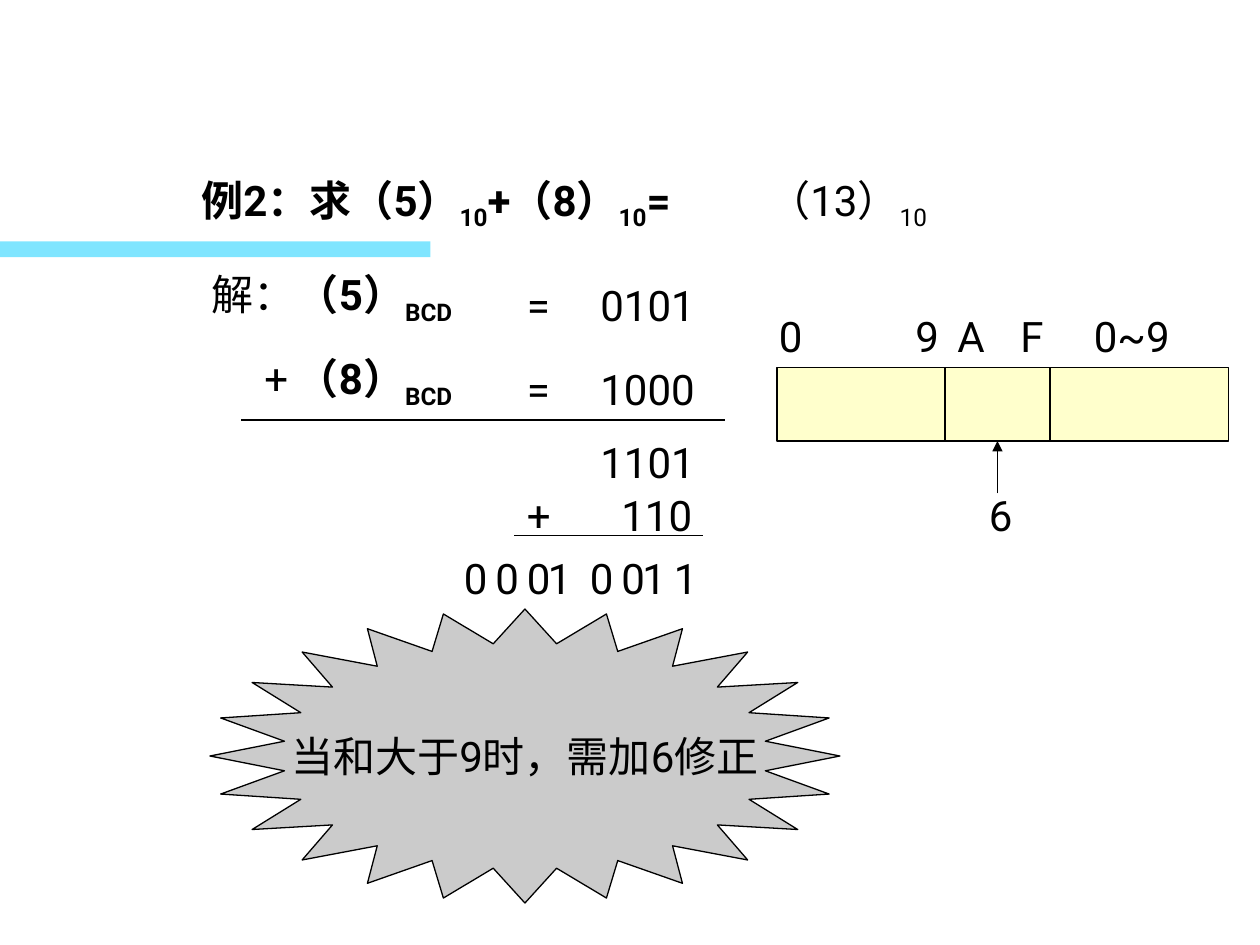
from lxml import etree
from pptx import Presentation
from pptx.dml.color import RGBColor
from pptx.enum.lang import MSO_LANGUAGE_ID
from pptx.enum.shapes import MSO_CONNECTOR, MSO_SHAPE
from pptx.enum.text import MSO_ANCHOR, MSO_AUTO_SIZE, PP_ALIGN
from pptx.oxml.ns import qn
from pptx.util import Inches, Pt

RECT, STAR = MSO_SHAPE.RECTANGLE, MSO_SHAPE.STAR_24_POINT
STRAIGHT = MSO_CONNECTOR.STRAIGHT
GROW = MSO_AUTO_SIZE.SHAPE_TO_FIT_TEXT
CENTER, MIDDLE = PP_ALIGN.CENTER, MSO_ANCHOR.MIDDLE
CHINESE = MSO_LANGUAGE_ID.SIMPLIFIED_CHINESE

COLS, ROWS = 120, 90  # square cells, twelve to the inch
BLACK, CYAN, CREAM, GREY = "000000", "00CCFF", "FFFFCC", "CBCBCB"


def rgb(value):
    return RGBColor.from_string(value)


class Board:
    """Draws in grid columns and rows on the current slide."""

    font = {"name": "Roboto", "size": Pt(24), "language_id": CHINESE}
    line_width = Pt(0.75)

    def __init__(self, prs):
        self.cell_w = prs.slide_width / COLS
        self.cell_h = prs.slide_height / ROWS
        self.s = prs.slides.add_slide(prs.slide_layouts[6])

    def place(self, x, y, w, h):
        return [round(v * c) for v, c in zip((x, y, w, h), (self.cell_w, self.cell_h) * 2)]

    def add_runs(self, tf, runs, bold=False):
        """Fill the first paragraph; every second run is a subscript."""
        p = tf.paragraphs[0]
        for i, words in enumerate(runs):
            r = p.add_run()
            r.text = words
            for key, value in {**self.font, "bold": bold}.items():
                setattr(r.font, key, value)
            r.font.color.rgb = rgb(BLACK)
            if i % 2:
                r._r.get_or_add_rPr().set("baseline", "-25000")
        return p

    def text(self, x, y, w, *runs, h=6, bold=False, wrap=True):
        tf = self.s.shapes.add_textbox(*self.place(x, y, w, h)).text_frame
        tf.word_wrap, tf.auto_size = wrap, GROW
        self.add_runs(tf, runs, bold)

    def shape(self, kind, x, y, w, h, fill, line=BLACK, alpha=None):
        sp = self.s.shapes.add_shape(kind, *self.place(x, y, w, h))
        sp.shadow.inherit = False
        sp.fill.solid()
        sp.fill.fore_color.rgb = rgb(fill)
        if alpha:
            color = next(sp._element.spPr.iter(qn("a:srgbClr")))
            etree.SubElement(color, qn("a:alpha"), val=str(alpha * 1000))
        if line:
            sp.line.color.rgb, sp.line.width = rgb(line), self.line_width
        else:
            sp.line.fill.background()
        return sp

    def line(self, x1, y1, x2, y2, arrow=False):
        cn = self.s.shapes.add_connector(STRAIGHT, *self.place(x1, y1, x2, y2))
        cn.line.color.rgb, cn.line.width = rgb(BLACK), self.line_width
        sp_pr = cn._element.spPr
        if arrow:
            etree.SubElement(sp_pr.find(qn("a:ln")), qn("a:tailEnd"), type="triangle")
        etree.SubElement(sp_pr, qn("a:effectLst"))


def main():
    prs = Presentation()
    prs.slide_width, prs.slide_height = Inches(10), Inches(7.5)
    b = Board(prs)

    # Accent bar and the exercise
    b.shape(RECT, 0, 23, 41, 1.5, CYAN, line=None, alpha=50)
    b.text(18, 16, 75, "例2：求（5）", "10", "+（8）", "10", "=", h=6.7, bold=True)
    b.text(72, 16, 21, "（13）", "10", h=6.7)

    # Both operands in BCD
    b.text(19, 25, 12.6, "解：")
    b.text(24, 33, 5, "+")
    for row, digit, code in ((25, "5", "0101"), (33, "8", "1000")):
        b.text(27.1, row, 20.3, f"（{digit}）", "BCD", h=6.7, bold=True, wrap=False)
        b.text(49, row + 1, 4, "=")
        b.text(56, row + 1, 15, code)
    b.line(23, 40, 69, 40)

    # Binary sum, correction and result
    b.text(56, 41, 13, "1101")
    b.text(49, 46, 6, "+")
    b.text(58, 46, 15, "110")
    b.line(49, 51, 67, 51)
    for x, bit in zip((43, 46, 49, 51, 55, 58, 60, 63), "00010011"):
        b.text(x, 52, 5, bit)

    # Range strip with the six skipped codes
    b.shape(RECT, 74, 35, 43, 7, CREAM)
    for x in (90, 100):
        b.line(x, 35, x, 42)
    for x, w, label in ((73, 4, "0"), (86, 4, "9"), (90, 5, "A"), (96, 5, "F"), (103, 11, "0~9")):
        b.text(x, 29, w, label)
    b.text(93, 46, 7, "6")
    b.line(95, 47, 95, 42, arrow=True)

    # Rule in a starburst
    star = b.shape(STAR, 20, 58, 60, 28, GREY)
    star.adjustments[0] = 0.385
    tf = star.text_frame
    tf.word_wrap, tf.vertical_anchor = False, MIDDLE
    b.add_runs(tf, ["当和大于9时，需加6修正"]).alignment = CENTER

    prs.save("out.pptx")


if __name__ == "__main__":
    main()
